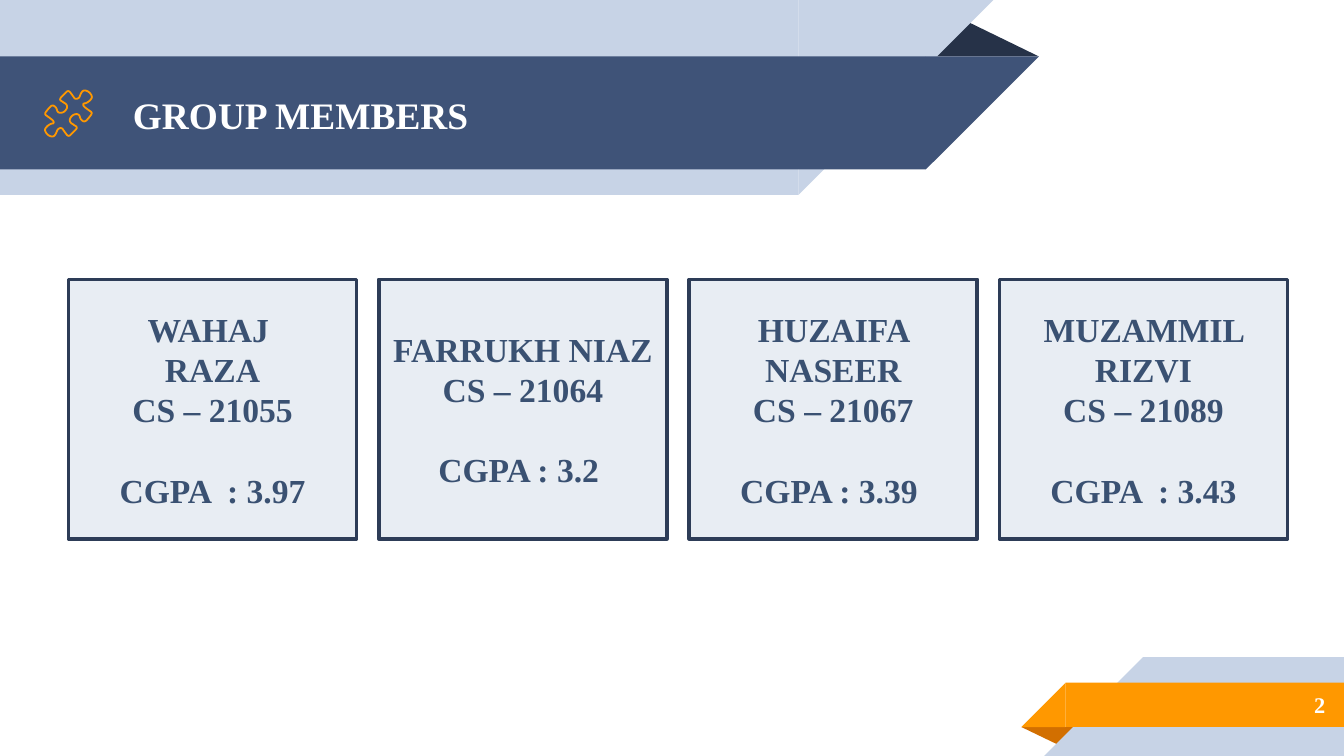
from pptx import Presentation
from pptx.dml.color import RGBColor
from pptx.enum.shapes import MSO_SHAPE
from pptx.enum.text import MSO_ANCHOR, PP_ALIGN
from pptx.util import Inches, Pt

# The grid is square: 100 columns by 56.25 rows
CELL = Inches(0.1)
COLS, ROWS = 100, 56.25

FONT = "Times New Roman"
WHITE = RGBColor(0xFF, 0xFF, 0xFF)
PALE = RGBColor(0xC7, 0xD3, 0xE6)
NAVY = RGBColor(0x3F, 0x53, 0x78)
NAVY_FOLD = RGBColor(0x26, 0x32, 0x48)
ORANGE = RGBColor(0xFF, 0x98, 0x00)
ORANGE_FOLD = RGBColor(0xD2, 0x6F, 0x00)
CARD_FILL = RGBColor(0xE8, 0xED, 0xF3)
CARD_LINE = RGBColor(0x2D, 0x3C, 0x57)
CARD_TEXT = RGBColor(0x3A, 0x51, 0x72)

MEMBERS = [
    (["WAHAJ ", "RAZA", "CS – 21055"], "CGPA  : 3.97"),
    (["FARRUKH NIAZ", "CS – 21064"], "CGPA : 3.2 "),
    (["HUZAIFA NASEER", "CS – 21067"], "CGPA : 3.39 "),
    (["MUZAMMIL RIZVI", "CS – 21089"], "CGPA  : 3.43"),
]

# Half of the puzzle outline on a 34 by 33 grid; the other half is its half turn
PUZZLE_HALF = [
    (30, 9), (33, 7), (35, 4), (32, 0), (28, -1), (26, 2), (25, 5), (22, 6),
    (20, 3), (17, -1), (14, 2), (10, 6), (13, 8), (16, 10), (16, 13), (13, 16),
    (9, 16), (8, 12), (5, 10), (2, 13), (-1, 17), (2, 19), (6, 22), (6, 24),
]


def cells(box):
    return [round(v * CELL) for v in box]


def add_preset(s, kind, box, fill):
    sp = s.shapes.add_shape(kind, *cells(box))
    sp.shadow.inherit = False
    sp.fill.solid()
    sp.fill.fore_color.rgb = fill
    sp.line.fill.background()
    return sp


def add_slanted_bar(s, box, fill, slant_left=False):
    """Bar whose one end is cut at 45 degrees, so the cut is as wide as the bar is high."""
    x, y, w, h = box
    bar_x, cut_x = (x + h, x) if slant_left else (x, x + w - h)
    add_preset(s, MSO_SHAPE.RECTANGLE, (bar_x, y, w - h, h), fill)
    cut = add_preset(s, MSO_SHAPE.RIGHT_TRIANGLE, (cut_x, y, h, h), fill)
    cut._element.spPr.xfrm.set("flipH", "1")
    if not slant_left:
        cut.rotation = 180


def add_fold(s, box, fill, rotation=0):
    sp = add_preset(s, MSO_SHAPE.ISOSCELES_TRIANGLE, box, fill)
    sp.adjustments[0] = 0.324
    sp.rotation = rotation


def add_line(p, text, size, color, align):
    p.alignment = align
    r = p.add_run()
    r.text = text
    r.font.name = FONT
    r.font.size = Pt(size)
    r.font.bold = True
    r.font.color.rgb = color


def add_label(s, box, text, size, align):
    tf = s.shapes.add_textbox(*cells(box)).text_frame
    tf.word_wrap = True
    tf.vertical_anchor = MSO_ANCHOR.MIDDLE
    tf.margin_top = tf.margin_bottom = Inches(0.1)
    add_line(tf.paragraphs[0], text, size, WHITE, align)


def round_corners(points):
    """Cut every corner of a closed outline at a quarter of its sides."""
    smooth = []
    for (ax, ay), (bx, by) in zip(points, points[1:] + points[:1]):
        smooth += [((3 * ax + bx) / 4, (3 * ay + by) / 4),
                   ((ax + 3 * bx) / 4, (ay + 3 * by) / 4)]
    return smooth


def add_puzzle_icon(s, box):
    x, y, w, h = box
    outline = PUZZLE_HALF + [(34 - px, 33 - py) for px, py in PUZZLE_HALF]
    outline = round_corners(round_corners(outline))
    points = [cells((x + px * w / 34, y + py * h / 33)) for px, py in outline]
    builder = s.shapes.build_freeform(*points[0])
    builder.add_line_segments(points[1:], close=True)
    sp = builder.convert_to_shape()
    sp.shadow.inherit = False
    sp.fill.background()
    sp.line.color.rgb = ORANGE
    sp.line.width = Pt(0.96)


def add_header(s, box):
    x, y, w, h = box
    add_fold(s, (x + w - 8.5, y + 1.4, 8.5, 2.8), NAVY_FOLD)
    add_slanted_bar(s, (x, y, w - 3.4, h), PALE)
    add_slanted_bar(s, (x, y + 4.2, w, 8.4), NAVY)
    add_label(s, (x + 8.9, y + 4.3, 57.5, 8.4), "GROUP MEMBERS", 20, PP_ALIGN.LEFT)
    add_puzzle_icon(s, (x + 3.4, y + 6.8, 3.4, 3.3))


def add_footer(s, box):
    x, y, w, h = box
    add_fold(s, (x, y + 5.2, 4.3, 1.4), ORANGE_FOLD, 180)
    add_slanted_bar(s, (x + 1.7, y, w - 1.7, h), PALE, slant_left=True)
    add_slanted_bar(s, (x, y + 1.9, w, 3.3), ORANGE, slant_left=True)
    add_label(s, (x + 7.3, y + 1.8, w - 7.7, 3.5), "2", 12, PP_ALIGN.RIGHT)


def add_card(s, box, lines, grade):
    sp = add_preset(s, MSO_SHAPE.RECTANGLE, box, CARD_FILL)
    sp.line.color.rgb = CARD_LINE
    sp.line.width = Pt(2)
    tf = sp.text_frame
    tf.word_wrap = True
    tf.vertical_anchor = MSO_ANCHOR.MIDDLE
    for i, text in enumerate(lines + [grade]):
        p = tf.add_paragraph() if i else tf.paragraphs[0]
        add_line(p, text, 18, CARD_TEXT, PP_ALIGN.CENTER)
    p.space_before = Pt(21.5)


def add_members(s, box, gap=1.65):
    x, y, w, h = box
    card_w = (w - gap * (len(MEMBERS) - 1)) / len(MEMBERS)
    for i, (lines, grade) in enumerate(MEMBERS):
        add_card(s, (x + i * (card_w + gap), y, card_w, h), lines, grade)


def main():
    prs = Presentation()
    prs.slide_width, prs.slide_height = cells((COLS, ROWS))
    s = prs.slides.add_slide(prs.slide_layouts[6])
    add_header(s, (0, 0, 77.3, 14.5))
    add_footer(s, (76, ROWS - 7.35, COLS - 76, 7.35))
    add_members(s, (5.1, 20.8, 90.7, 19.3))
    prs.save("out.pptx")


if __name__ == "__main__":
    main()
